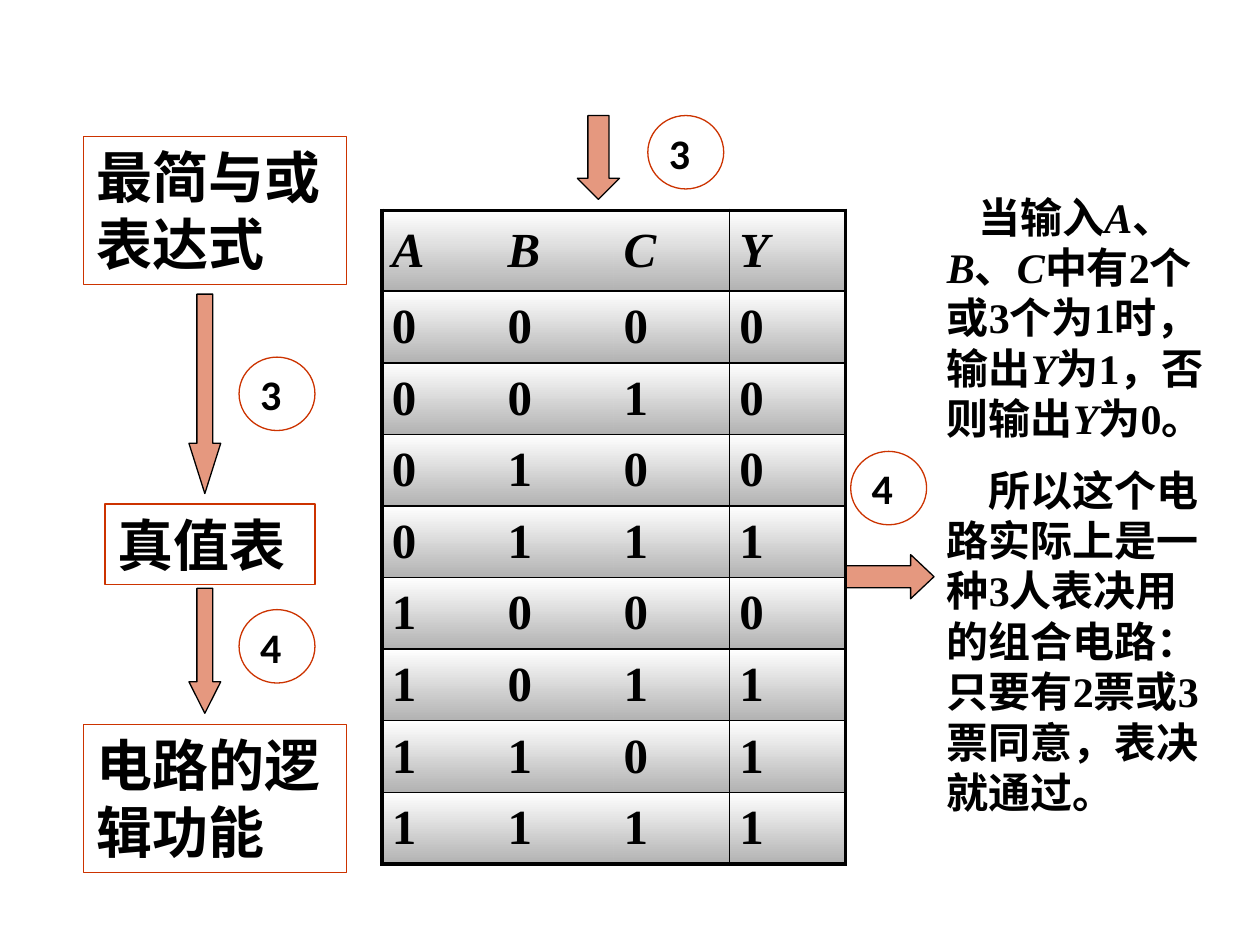
"""Build the slide that reads a truth table as a three-person voting circuit."""
from dataclasses import dataclass

from lxml import etree
from pptx import Presentation
from pptx.dml.color import RGBColor
from pptx.enum.shapes import MSO_SHAPE
from pptx.enum.text import MSO_ANCHOR, PP_ALIGN
from pptx.oxml.ns import qn
from pptx.util import Cm, Pt

RECT, OVAL, ARROW = MSO_SHAPE.RECTANGLE, MSO_SHAPE.OVAL, MSO_SHAPE.DOWN_ARROW
LEFT, TOP, MIDDLE = PP_ALIGN.LEFT, MSO_ANCHOR.TOP, MSO_ANCHOR.MIDDLE


@dataclass(frozen=True)
class Theme:
    ink: str = "000000"
    accent: str = "CC3300"
    light: str = "FFFFFF"
    dark: str = "B2B2B2"
    serif: str = "Times New Roman"
    sans: str = "Calibri"
    step: int = 32
    cell: int = 28
    body: int = 24
    hair: float = 0.75
    thin: float = 1
    thick: float = 2.25


THEME = Theme()

STEPS = [
    ("最简与或表达式", (1.69, 2.75, 5.29, 2.99)),
    ("真值表", (2.12, 10.16, 4.23, 1.63)),
    ("电路的逻辑功能", (1.69, 14.6, 5.29, 2.99)),
]
ARROWS = [
    ((3.81, 5.93, 0.64, 4.02), 1.58, 0),
    ((3.81, 11.86, 0.64, 2.52), 0.99, 0),
    ((11.64, 2.33, 0.85, 1.69), 0.5, 0),
    ((17.43, 10.67, 0.89, 1.91), 0.53, 270),
]
BADGES = [("3", 4.82, 7.2), ("4", 4.82, 12.29), ("3", 13.06, 2.33), ("4", 17.15, 9.1)]
BADGE = (1.53, 1.48)
NOTES = [
    (18, 0, ["当输入", "A", "、", "B", "、", "C", "中有2个或3个为1时，输出", "Y",
             "为1，否则输出", "Y", "为0。"]),
    (24, 12, ["所以这个电路实际上是一种3人表决用的组合电路：只要有2票或3票同意，表决就通过。"]),
]
NOTE = (18.84, 3.73, 5.72, 13.08)
HEADS = ["A", "B", "C", "Y"]
TRUTH = ["0000", "0010", "0100", "0111", "1000", "1011", "1101", "1111"]
GRID = (7.7, 4.24, 9.34, 13.18)
HEAD = 1.63


def style(run, size, face=THEME.serif, slant=False):
    font = run.font
    font.name, font.size, font.bold, font.italic = face, Pt(size), True, slant
    font.color.rgb = RGBColor.from_string(THEME.ink)


def draw(slide, kind, place, line):
    shape = slide.shapes.add_shape(kind, *map(Cm, place))
    shape.shadow.inherit = False
    shape.fill.background()
    shape.line.color.rgb = RGBColor.from_string(line)
    shape.line.width = Pt(THEME.hair)
    return shape


def label(shape, text, size, face, anchor):
    frame = shape.text_frame
    frame.word_wrap, frame.vertical_anchor = True, anchor
    frame.text = text
    frame.paragraphs[0].alignment = LEFT
    style(frame.paragraphs[0].runs[0], size, face)
    return frame


def add_arrow(slide, place, head, turn):
    arrow = draw(slide, ARROW, place, THEME.ink)
    arrow.adjustments[0], arrow.adjustments[1] = 0.5, head
    arrow.rotation = turn
    arrow.fill.solid()
    arrow.fill.fore_color.rgb = RGBColor.from_string(THEME.accent)
    color = arrow.fill._xPr.find(qn("a:solidFill"))[0]
    etree.SubElement(color, qn("a:alpha"), val="50000")


def add_badge(slide, text, left, top):
    badge = draw(slide, OVAL, (left, top, *BADGE), THEME.accent)
    frame = label(badge, text, THEME.body, THEME.sans, MIDDLE)
    frame.margin_top = frame.margin_right = frame.margin_bottom = 0
    frame.margin_left = Cm(0.2)


def add_note(slide):
    frame = slide.shapes.add_textbox(*map(Cm, NOTE)).text_frame
    frame.word_wrap = True
    for index, (indent, space, parts) in enumerate(NOTES):
        para = frame.add_paragraph() if index else frame.paragraphs[0]
        para.space_before = Pt(space)
        para._p.get_or_add_pPr().set("indent", str(Pt(indent)))
        for part in parts:
            run = para.add_run()
            run.text = part
            style(run, THEME.body, slant=part in HEADS)


def border(cell, sides):
    props = cell._tc.get_or_add_tcPr()
    for index, (side, width) in enumerate(sides.items()):
        line = etree.Element(qn("a:ln" + side), w=str(Pt(width)))
        if width:
            fill = etree.SubElement(line, qn("a:solidFill"))
            etree.SubElement(fill, qn("a:srgbClr"), val=THEME.ink)
        else:
            etree.SubElement(line, qn("a:noFill"))
        props.insert(index, line)


def shade(cell):
    cell.fill.gradient()
    cell.fill.gradient_angle = 270
    for stop, color in zip(cell.fill.gradient_stops, (THEME.light, THEME.dark)):
        stop.color.rgb = RGBColor.from_string(color)


def add_grid(slide):
    rows = [HEADS, *TRUTH]
    count, wide = len(rows), len(HEADS)
    table = slide.shapes.add_table(count, wide, *map(Cm, GRID)).table
    table.first_row = table.horz_banding = False
    for col in table.columns:
        col.width = Cm(GRID[2] / wide)
    for y, row in enumerate(rows):
        table.rows[y].height = Cm((GRID[3] - HEAD) / len(TRUTH) if y else HEAD)
        for x, text in enumerate(row):
            cell = table.cell(y, x)
            cell.vertical_anchor = MIDDLE
            cell.margin_left = cell.margin_right = Cm(0.2)
            cell.text_frame.text = text
            style(cell.text_frame.paragraphs[0].runs[0], THEME.cell, slant=y == 0)
            shade(cell)
            border(cell, {
                "L": {0: THEME.thick, wide - 1: THEME.thin}.get(x, 0),
                "R": {wide - 1: THEME.thick, wide - 2: THEME.thin}.get(x, 0),
                "T": THEME.thin if y else THEME.thick,
                "B": THEME.thin if y < count - 1 else THEME.thick,
            })


def main():
    deck = Presentation()
    deck.slide_width, deck.slide_height = Cm(25.4), Cm(19.05)
    slide = deck.slides.add_slide(deck.slide_layouts[6])
    for text, place in STEPS:
        box = draw(slide, RECT, place, THEME.accent)
        label(box, text, THEME.step, THEME.serif, TOP)
    for item in ARROWS:
        add_arrow(slide, *item)
    for item in BADGES:
        add_badge(slide, *item)
    add_note(slide)
    add_grid(slide)
    deck.save("out.pptx")


if __name__ == "__main__":
    main()
